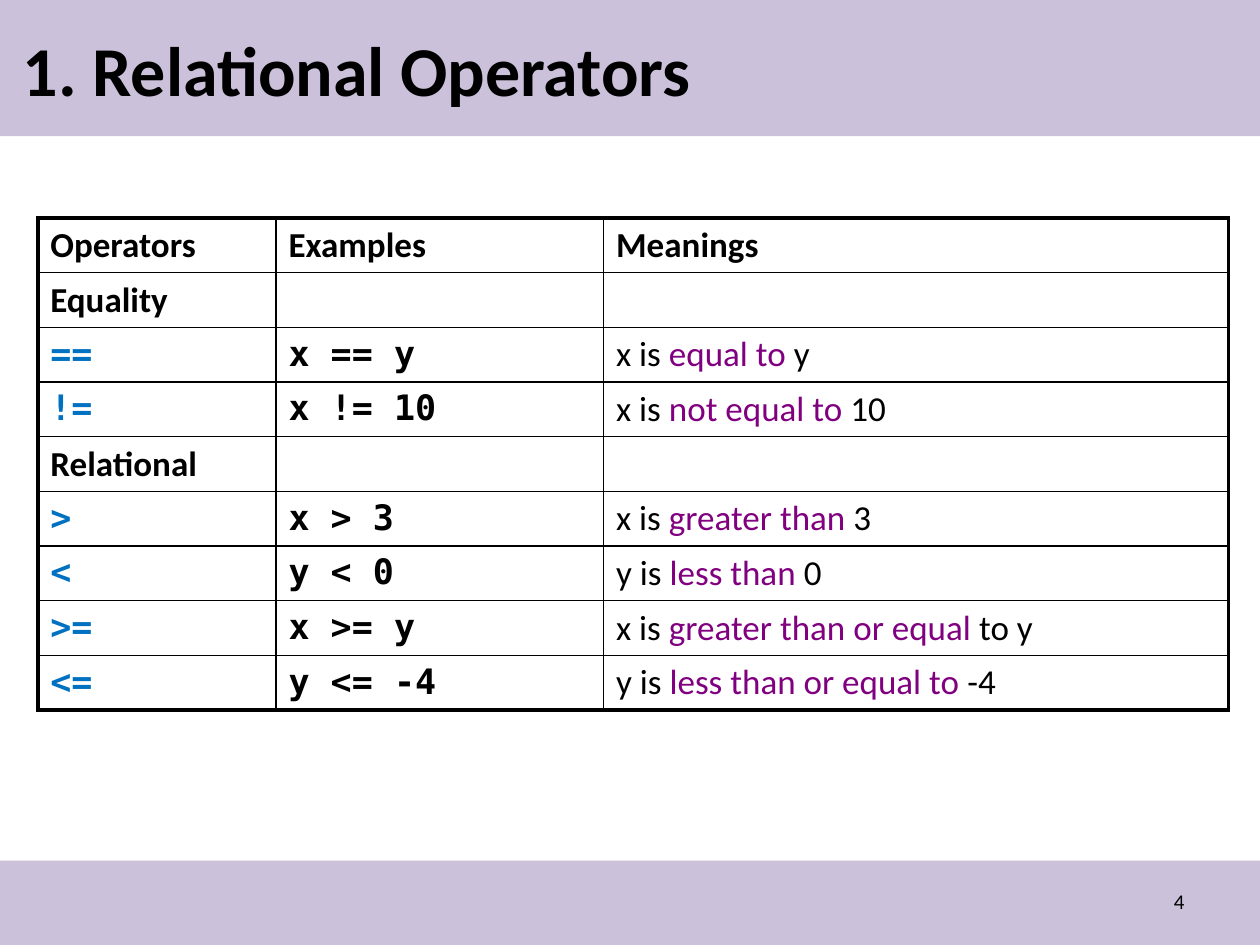
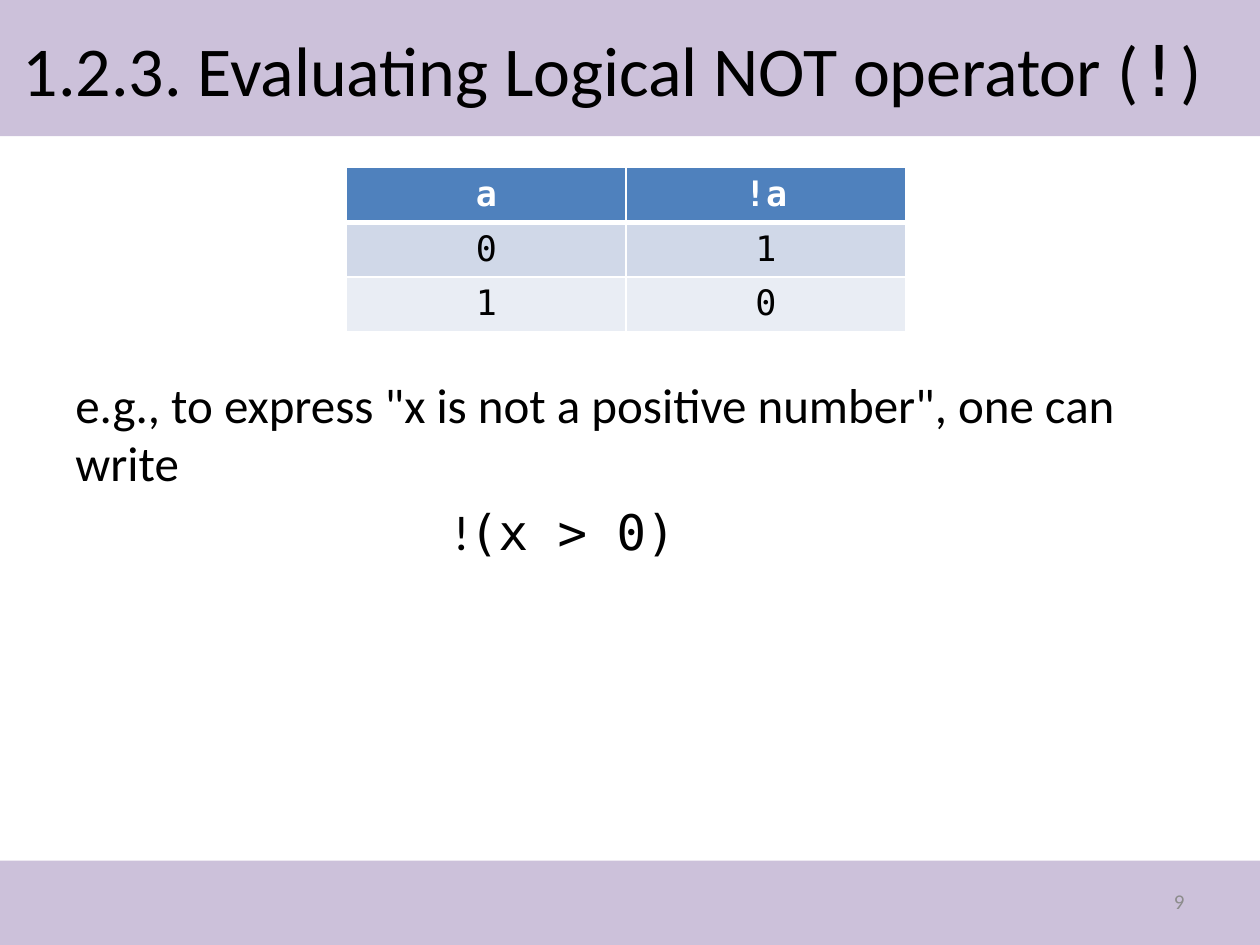
from dataclasses import dataclass

from lxml.etree import SubElement
from pptx import Presentation
from pptx.dml.color import RGBColor
from pptx.enum.shapes import MSO_SHAPE
from pptx.enum.text import MSO_ANCHOR, MSO_AUTO_SIZE, PP_ALIGN
from pptx.oxml.ns import qn
from pptx.slide import Slide
from pptx.table import Table, _Cell
from pptx.text.text import Font, _Paragraph
from pptx.util import Inches, Pt

BLACK = RGBColor(0x00, 0x00, 0x00)
WHITE = RGBColor(0xFF, 0xFF, 0xFF)
GREY = RGBColor(0x8C, 0x8C, 0x8C)
LAVENDER = RGBColor(0xCC, 0xC1, 0xDA)
OPERATOR_BLUE = RGBColor(0x00, 0x70, 0xC0)
MEANING_PURPLE = RGBColor(0x80, 0x00, 0x80)
HEADER_BLUE = RGBColor(0x4F, 0x81, 0xBD)
ROW_FILLS = (RGBColor(0xD0, 0xD8, 0xE8), RGBColor(0xE9, 0xED, 0xF4))

SANS = "Calibri"
MONO = "DejaVu Sans Mono"
SLIDE_WIDTH, SLIDE_HEIGHT = 10, 7.5
BANDS = ((0, 1.08), (6.83, 0.67))  # top, height
TITLE_LAYOUT = 5


@dataclass(frozen=True)
class Style:
    size: float
    name: str = SANS
    color: RGBColor = BLACK
    bold: bool = False


@dataclass(frozen=True)
class Part:
    """A stretch of text, with a style of its own where it differs."""
    text: str
    style: Style | None = None


@dataclass(frozen=True)
class Operator:
    symbol: str
    example: str
    subject: str
    relation: str
    value: str


TITLE = Style(40)
TITLE_BOLD = Style(40, bold=True)
TITLE_CODE = Style(40, MONO)
BODY = Style(28)
BODY_CODE = Style(28, MONO)
CELL = Style(20)
CELL_BOLD = Style(20, bold=True)
CELL_CODE = Style(20, MONO)
EXAMPLE = Style(20, MONO, bold=True)
SYMBOL = Style(20, MONO, OPERATOR_BLUE, True)
RELATION = Style(20, color=MEANING_PURPLE)
TRUTH_HEADER = Style(20, MONO, WHITE, True)

OPERATOR_GROUPS = {
    "Equality": (
        Operator("==", "x == y", "x is ", "equal to", " y"),
        Operator("!=", "x != 10", "x is ", "not equal to", " 10"),
    ),
    "Relational": (
        Operator(">", "x > 3", "x is ", "greater than", " 3"),
        Operator("<", "y < 0", "y is", " less than", " 0"),
        Operator(">=", "x >= y", "x is ", "greater than or equal", " to y"),
        Operator("<=", "y <= -4", "y is ", "less than or equal to", " -4"),
    ),
}


# Text
def apply_style(font: Font, style: Style) -> None:
    font.size = Pt(style.size)
    font.name = style.name
    font.bold = style.bold
    font.color.rgb = style.color


def write(paragraph: _Paragraph, style: Style, *parts: Part,
          align: PP_ALIGN = PP_ALIGN.LEFT) -> None:
    paragraph.alignment = align
    apply_style(paragraph.font, style)
    for part in parts:
        run = paragraph.add_run()
        run.text = part.text
        if part.style:
            apply_style(run.font, part.style)


# Parts that the slides share
def add_framed_slide(presentation: Presentation, number: str, number_color: RGBColor,
                     title_style: Style, *title_parts: Part) -> Slide:
    slide = presentation.slides.add_slide(presentation.slide_layouts[TITLE_LAYOUT])
    title = slide.shapes.title

    # Bands lie behind the title
    for top, height in BANDS:
        band = slide.shapes.add_shape(MSO_SHAPE.RECTANGLE, 0, Inches(top),
                                      Inches(SLIDE_WIDTH), Inches(height))
        band.shadow.inherit = False
        band.fill.solid()
        band.fill.fore_color.rgb = LAVENDER
        band.line.fill.background()
        title._element.addprevious(band._element)

    title.left, title.top = Inches(0.08), Inches(0.08)
    title.width, title.height = Inches(9.76), Inches(0.92)
    title.text_frame.auto_size = MSO_AUTO_SIZE.NONE
    title.text_frame.vertical_anchor = MSO_ANCHOR.MIDDLE
    write(title.text_frame.paragraphs[0], title_style, *title_parts)

    # Slide number
    box = slide.shapes.add_textbox(Inches(7.17), Inches(6.95), Inches(2.33), Inches(0.4))
    box.text_frame.word_wrap = True
    box.text_frame.vertical_anchor = MSO_ANCHOR.MIDDLE
    write(box.text_frame.paragraphs[0], Style(12, color=number_color), Part(number),
          align=PP_ALIGN.RIGHT)
    return slide


# Tables
def add_plain_table(slide: Slide, left: float, top: float, row_count: int,
                    row_height: float, column_widths: tuple[float, ...]) -> Table:
    table = slide.shapes.add_table(
        row_count, len(column_widths), Inches(left), Inches(top),
        Inches(sum(column_widths)), Inches(row_count * row_height)).table
    table.first_row = table.horz_banding = False
    for column, width in zip(table.columns, column_widths):
        column.width = Inches(width)
    return table


def set_borders(cell: _Cell, color: RGBColor, left: float = 1, right: float = 1,
                top: float = 1, bottom: float = 1) -> None:
    """Draw the cell's borders, in points; call before setting its fill."""
    properties = cell._tc.get_or_add_tcPr()
    for side, width in zip("LRTB", (left, right, top, bottom)):
        line = SubElement(properties, qn(f"a:ln{side}"), w=str(Pt(width)))
        fill = SubElement(line, qn("a:solidFill"))
        SubElement(fill, qn("a:srgbClr"), val=str(color))


def add_operator_table(slide: Slide) -> None:
    rows = [[(CELL_BOLD, [Part(text)]) for text in ("Operators", "Examples", "Meanings")]]
    for heading, operators in OPERATOR_GROUPS.items():
        rows.append([(CELL_BOLD, [Part(heading)]), (CELL, []), (CELL, [])])
        for operator in operators:
            meaning = [Part(operator.subject, CELL), Part(operator.relation, RELATION),
                       Part(operator.value, CELL)]
            rows.append([(SYMBOL, [Part(operator.symbol)]),
                         (EXAMPLE, [Part(operator.example)]), (CELL, meaning)])

    table = add_plain_table(slide, 0.3, 1.73, len(rows), 0.43, (1.89, 2.6, 4.96))
    thin, thick = 1, 2.25
    for row_index, row in enumerate(rows):
        for column_index, (style, parts) in enumerate(row):
            cell = table.cell(row_index, column_index)
            set_borders(cell, BLACK,
                        left=thick if column_index == 0 else thin,
                        right=thick if column_index == len(row) - 1 else thin,
                        top=thick if row_index == 0 else thin,
                        bottom=thick if row_index == len(rows) - 1 else thin)
            cell.fill.background()
            write(cell.text_frame.paragraphs[0], style, *parts)


def add_truth_table(slide: Slide) -> None:
    rows = (("a", "!a"), ("0", "1"), ("1", "0"))
    fills = (HEADER_BLUE, *ROW_FILLS)
    table = add_plain_table(slide, 2.75, 1.33, len(rows), 0.42, (2.22, 2.22))
    for row_index, (row, fill) in enumerate(zip(rows, fills)):
        is_header = row_index == 0
        for column_index, text in enumerate(row):
            cell = table.cell(row_index, column_index)
            set_borders(cell, WHITE, top=3 if row_index == 1 else 1,
                        bottom=3 if is_header else 1)
            cell.fill.solid()
            cell.fill.fore_color.rgb = fill
            write(cell.text_frame.paragraphs[0], TRUTH_HEADER if is_header else CELL_CODE,
                  Part(text), align=PP_ALIGN.CENTER)


def add_not_example(slide: Slide) -> None:
    box = slide.shapes.add_textbox(Inches(0.5), Inches(2.92), Inches(9.08), Inches(3.83))
    frame = box.text_frame
    frame.word_wrap = True
    sentence, expression = frame.paragraphs[0], frame.add_paragraph()
    write(sentence, BODY,
          Part('e.g., to express "x is not a positive number", one can write'))
    write(expression, BODY, Part("!"), Part("(x > 0)", BODY_CODE))
    for paragraph in frame.paragraphs:
        paragraph.space_before = Pt(0.2 * BODY.size)
    expression._p.get_or_add_pPr().set("marL", str(Inches(3)))


presentation = Presentation()
presentation.slide_width = Inches(SLIDE_WIDTH)
presentation.slide_height = Inches(SLIDE_HEIGHT)

# Slide 1: relational operators
relational_slide = add_framed_slide(presentation, "4", BLACK, TITLE_BOLD,
                                    Part("1. Relational Operators"))
add_operator_table(relational_slide)

# Slide 2: logical NOT
not_slide = add_framed_slide(presentation, "9", GREY, TITLE,
                             Part("1.2.3. Evaluating Logical NOT operator ("),
                             Part("!", TITLE_CODE), Part(")"))
add_truth_table(not_slide)
add_not_example(not_slide)

presentation.save("out.pptx")
